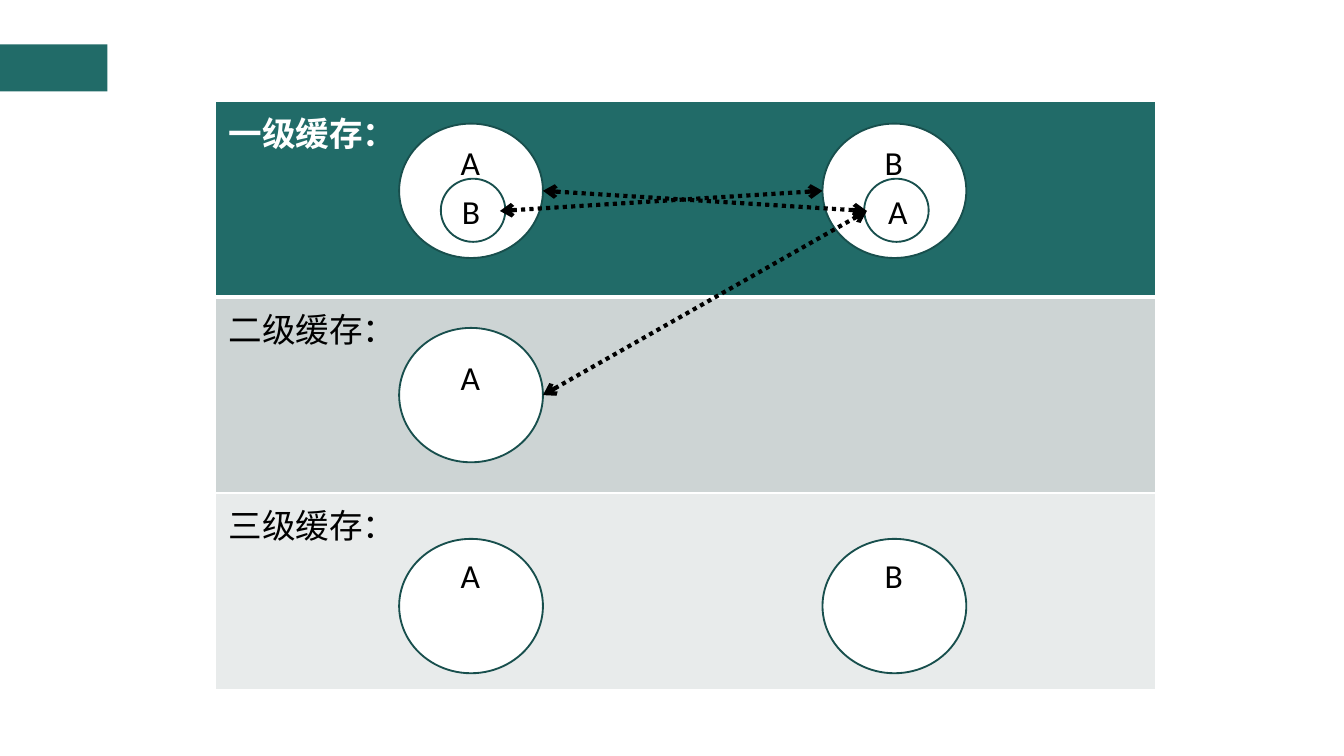
"""Builds the slide showing how beans A and B sit in three cache levels."""
from lxml import etree
from pptx import Presentation
from pptx.dml.color import RGBColor
from pptx.enum import dml, shapes, text
from pptx.oxml.ns import qn
from pptx.util import Inches, Pt

THEME = {
    "font": "Calibri", "size": 18, "line": 1, "arrow": 2.25,
    "teal": "216B68", "outline": "184F4D", "white": "FFFFFF", "black": "000000",
}
LEVELS = [
    {"label": "一级缓存：", "fill": THEME["teal"], "color": THEME["white"],
     "bold": True, "top_rule": 1, "bottom_rule": 3},
    {"label": "二级缓存：", "fill": "CDD4D4", "color": THEME["black"],
     "bold": False, "top_rule": 3, "bottom_rule": 1},
    {"label": "三级缓存：", "fill": "E8EBEB", "color": THEME["black"],
     "bold": False, "top_rule": 1, "bottom_rule": 1},
]
BEAN_LEFT = {"A": 2.97, "B": 6.12}
BEAN_TOP = [0.92, 2.44, 4.01]
NAME_OFFSET = [0.09, 0.17, 0.07]
FIELD_NAME = {"A": (0.33, 0.46), "B": (0.32, 0.43)}
BEANS = [("A", 2, None), ("B", 2, None), ("B", 0, "A"), ("A", 1, None), ("A", 0, "B")]
BEAN_SIZE = (1.07, 1)
FIELD_SIZE = (0.48, 0.47)
NAME_WIDTH, NAME_HEIGHT = 0.44, 0.4
TABLE_BOX = (1.6, 0.75, 7, 4.38)
SLIDE_WIDTH = 10


def rgb(value):
    return RGBColor.from_string(value)


def style_text(paragraph, color, bold=False):
    font = paragraph.font
    font.name, font.size, font.bold = THEME["font"], Pt(THEME["size"]), bold
    font.color.rgb = rgb(color)


def add_box(parent, kind, box, fill, outline=None):
    shape = parent.add_shape(kind, *map(Inches, box))
    shape.shadow.inherit = False
    shape.fill.solid()
    shape.fill.fore_color.rgb = rgb(fill)
    if outline:
        shape.line.color.rgb = rgb(outline)
        shape.line.width = Pt(THEME["line"])
    else:
        shape.line.fill.background()
    return shape


def add_name(parent, name, left, top, width=NAME_WIDTH):
    box = parent.add_textbox(*map(Inches, (left, top, width, NAME_HEIGHT)))
    frame = box.text_frame
    frame.word_wrap = True
    frame.auto_size = text.MSO_AUTO_SIZE.SHAPE_TO_FIT_TEXT
    paragraph = frame.paragraphs[0]
    paragraph.text = name
    paragraph.alignment = text.PP_ALIGN.CENTER
    style_text(paragraph, THEME["black"])
    return box


def add_bean(slide, name, level, field):
    left, top = BEAN_LEFT[name], BEAN_TOP[level]
    group = slide.shapes.add_group_shape().shapes
    oval = shapes.MSO_SHAPE.OVAL
    add_box(group, oval, (left, top, *BEAN_SIZE), THEME["white"], THEME["outline"])
    add_name(group, name, left + 0.31, top + NAME_OFFSET[level])
    if field:
        add_box(group, oval, (left + 0.31, top + 0.41, *FIELD_SIZE),
                THEME["white"], THEME["outline"])
        offset, width = FIELD_NAME[field]
        return add_name(group, field, left + offset, top + 0.45, width)


def add_border(cell, side, width):
    border = etree.SubElement(cell._tc.get_or_add_tcPr(), qn(f"a:ln{side}"), w=str(Pt(width)))
    fill = etree.SubElement(border, qn("a:solidFill"))
    etree.SubElement(fill, qn("a:srgbClr"), val=THEME["white"])


def add_levels(slide):
    table = slide.shapes.add_table(len(LEVELS), 1, *map(Inches, TABLE_BOX)).table
    table.horz_banding = False
    for row, level in enumerate(LEVELS):
        table.rows[row].height = Inches(TABLE_BOX[3] / len(LEVELS))
        cell = table.cell(row, 0)
        cell.text = level["label"]
        style_text(cell.text_frame.paragraphs[0], level["color"], level["bold"])
        for side, width in zip("LRTB", (1, 1, level["top_rule"], level["bottom_rule"])):
            add_border(cell, side, width)
        cell.fill.solid()
        cell.fill.fore_color.rgb = rgb(level["fill"])


def add_reference(slide, bean_edge, field, field_side):
    x, y = map(Inches, bean_edge)
    arrow = slide.shapes.add_connector(shapes.MSO_CONNECTOR.STRAIGHT, x, y, x, y)
    arrow.end_connect(field, field_side)
    arrow.line.color.rgb = rgb(THEME["black"])
    arrow.line.width = Pt(THEME["arrow"])
    arrow.line.dash_style = dml.MSO_LINE.ROUND_DOT
    for end in ("headEnd", "tailEnd"):
        etree.SubElement(arrow.line._get_or_add_ln(), qn(f"a:{end}"), type="arrow")
    etree.SubElement(arrow._element.spPr, qn("a:effectLst"))


def main():
    deck = Presentation()
    deck.slide_width, deck.slide_height = Inches(SLIDE_WIDTH), Inches(SLIDE_WIDTH * 9 / 16)
    slide = deck.slides.add_slide(deck.slide_layouts[6])
    add_box(slide.shapes, shapes.MSO_SHAPE.RECTANGLE, (0, 0.33, 0.8, 0.35), THEME["teal"])
    add_levels(slide)
    fields = {bean[0]: add_bean(slide, *bean) for bean in BEANS if bean[1] != 1 or bean[2] is None}
    a_right = BEAN_LEFT["A"] + BEAN_SIZE[0]
    first, second = (top + BEAN_SIZE[1] / 2 for top in BEAN_TOP[:2])
    add_reference(slide, (a_right, second), fields["B"], 1)
    add_reference(slide, (BEAN_LEFT["B"], first), fields["A"], 3)
    add_reference(slide, (a_right, first), fields["B"], 1)
    deck.save("out.pptx")


if __name__ == "__main__":
    main()
